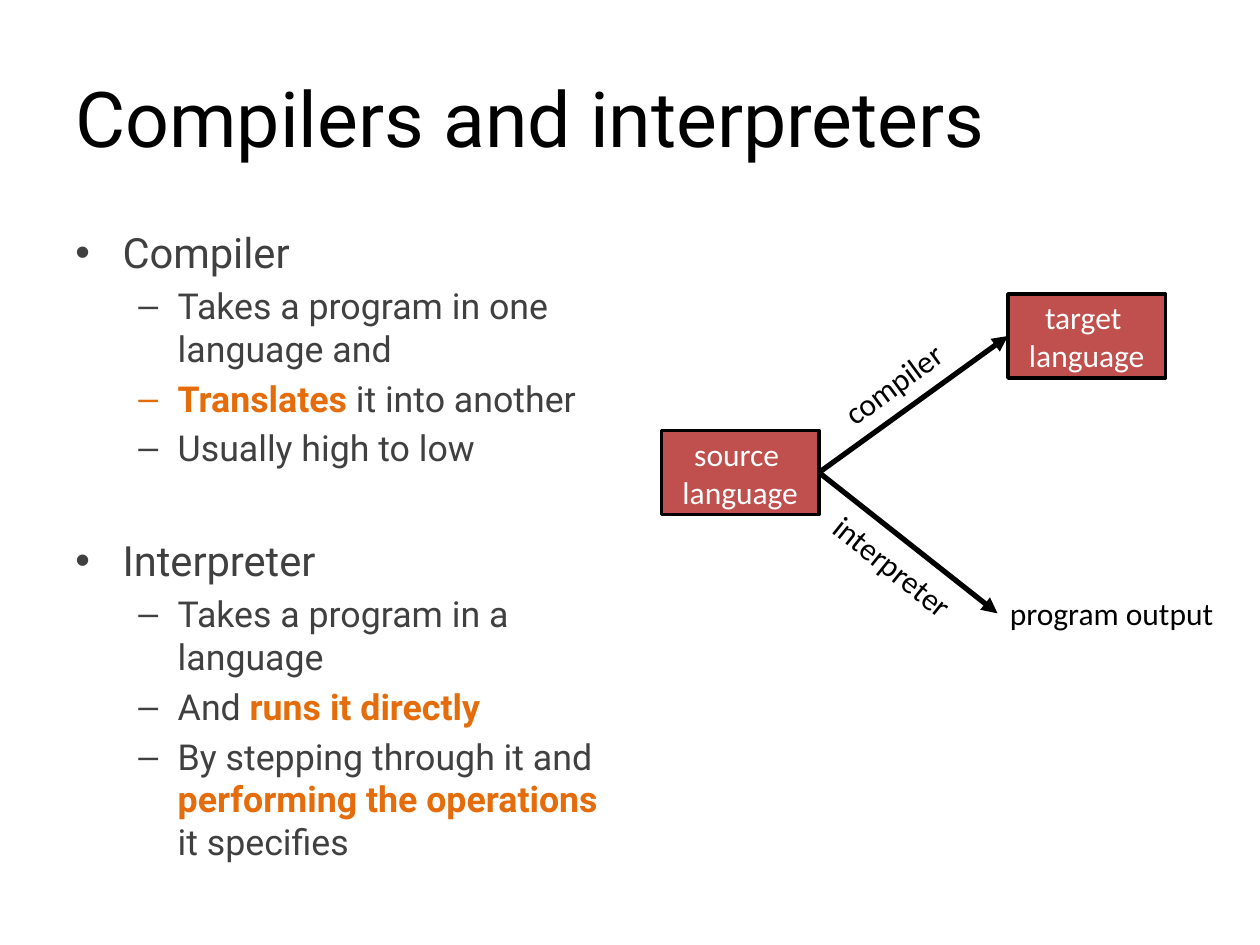
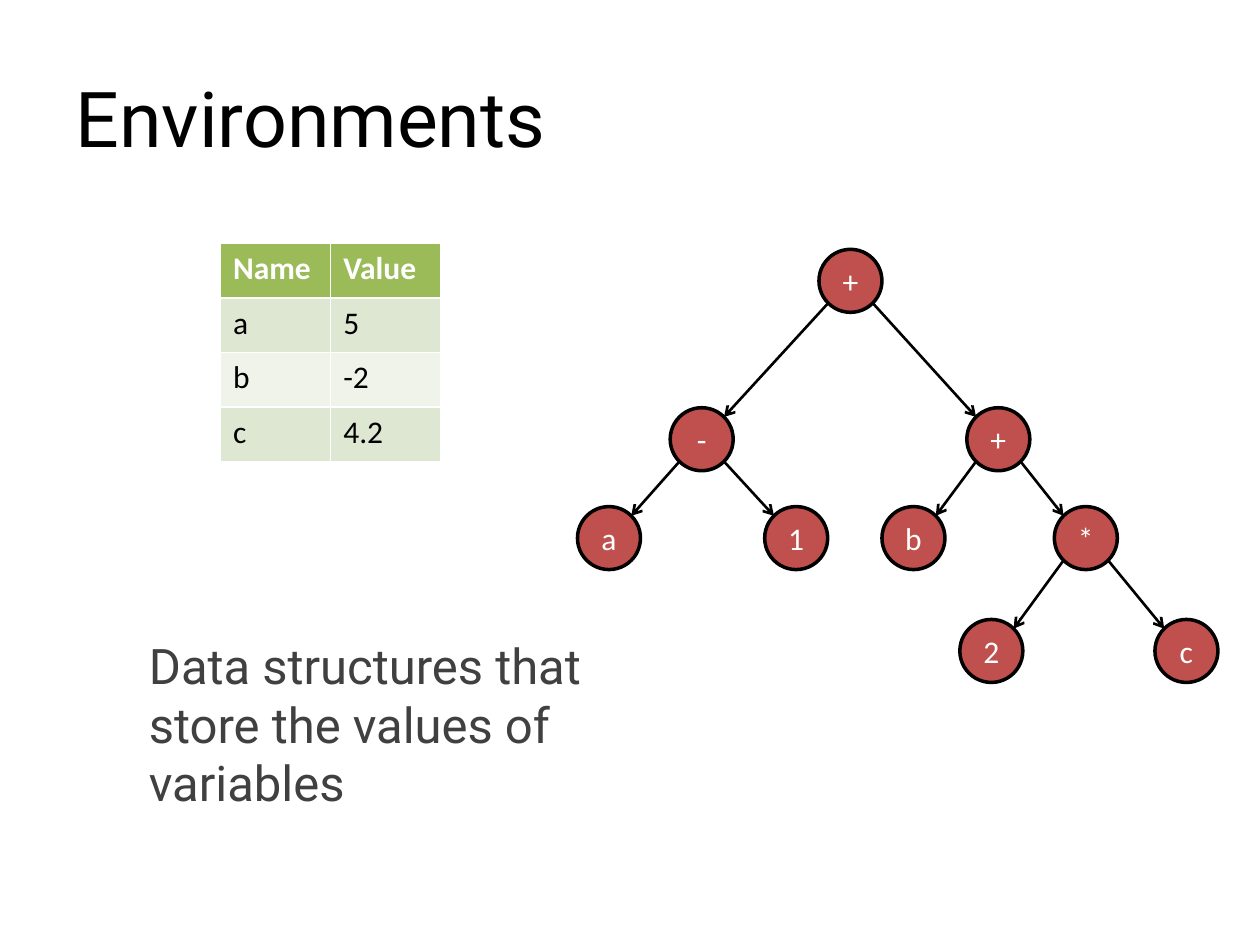
"""Builds two slides on compilers, interpreters and environments."""
import math

import lxml.etree
import pptx
import pptx.dml.color
import pptx.enum.shapes
import pptx.enum.text
import pptx.oxml.ns
import pptx.util

Pt = pptx.util.Pt
qn = pptx.oxml.ns.qn
SHAPES = pptx.enum.shapes.MSO_SHAPE
ALIGN = pptx.enum.text.PP_ALIGN
ANCHOR = pptx.enum.text.MSO_ANCHOR

COLORS = {
    "ink": "000000",
    "body": "404040",
    "accent": "E46C0A",
    "node": "C0504D",
    "light": "FFFFFF",
    "header": "9BBB59",
    "band": "DEE7D1",
    "pale": "EFF3EA",
}
HEADING_FONT, LABEL_FONT = "Roboto", "Calibri"
LABEL_SIZE = 18
BULLETS = [("•", 27, 27, 23.8), ("–", 58.5, 22.5, 20.4)]
NODE_SIZE = 36


def rgb(name):
    """Return the named colour."""
    return pptx.dml.color.RGBColor.from_string(COLORS[name])


class Deck:
    """Holds the shared style and the current slide."""

    def __init__(self):
        """Start an empty 10 by 7.5 inch presentation."""
        self.presentation = pptx.Presentation()
        self.presentation.slide_width = Pt(720)
        self.presentation.slide_height = Pt(540)
        self.slide = None

    def style(self, paragraph, size, font, color, bold=None):
        """Set the font of a whole paragraph."""
        paragraph.font.size = Pt(size)
        paragraph.font.name = font
        paragraph.font.bold = bold
        paragraph.font.color.rgb = rgb(color)

    def title(self, text):
        """Add a slide with a left-aligned title."""
        layout = self.presentation.slide_layouts[5]
        self.slide = self.presentation.slides.add_slide(layout)
        heading = self.slide.shapes.title
        heading.left, heading.top = Pt(36), Pt(21.6)
        heading.width, heading.height = Pt(648), Pt(90)
        heading.text_frame.text = text
        heading.text_frame.vertical_anchor = ANCHOR.MIDDLE
        paragraph = heading.text_frame.paragraphs[0]
        paragraph.alignment = ALIGN.LEFT
        self.style(paragraph, 44, HEADING_FONT, "ink")

    def text_box(self, left, top, width, height):
        """Add a wrapping text box and return its frame."""
        box = self.slide.shapes.add_textbox(Pt(left), Pt(top), Pt(width), Pt(height))
        box.text_frame.word_wrap = True
        return box.text_frame

    def statement(self, text, *bounds):
        """Add a plain sentence in body style."""
        frame = self.text_box(*bounds)
        frame.text = text
        self.style(frame.paragraphs[0], 28, HEADING_FONT, "body")

    def outline(self, sections, *bounds):
        """Add headed bullet lists; odd pieces of each point are emphasised."""
        frame = self.text_box(*bounds)
        paragraph = frame.paragraphs[0]
        for number, (heading, points) in enumerate(sections):
            if number:
                paragraph = frame.add_paragraph()
                paragraph.space_before = Pt(37.5)
            self.bullet(paragraph, 0, [heading])
            for pieces in points:
                paragraph = frame.add_paragraph()
                paragraph.space_before = Pt(4)
                self.bullet(paragraph, 1, pieces)

    def bullet(self, paragraph, level, pieces):
        """Fill one bulleted paragraph."""
        mark, margin, hanging, size = BULLETS[level]
        paragraph.level = level
        properties = paragraph._p.get_or_add_pPr()
        properties.set("marL", str(Pt(margin)))
        properties.set("indent", str(-Pt(hanging)))
        lxml.etree.SubElement(properties, qn("a:buFont")).set("typeface", "Arial")
        lxml.etree.SubElement(properties, qn("a:buChar")).set("char", mark)
        self.style(paragraph, size, HEADING_FONT, "body")
        for position, piece in enumerate(pieces):
            if piece:
                run = paragraph.add_run()
                run.text = piece
                if position % 2:
                    run.font.bold = True
                    run.font.color.rgb = rgb("accent")

    def label(self, text, left, top, width, angle=0):
        """Add a one-line label, turned by an angle."""
        box = self.slide.shapes.add_textbox(Pt(left), Pt(top), Pt(width), Pt(29))
        box.rotation = angle
        frame = box.text_frame
        frame.text = text
        frame.word_wrap = False
        frame.auto_size = pptx.enum.text.MSO_AUTO_SIZE.SHAPE_TO_FIT_TEXT
        self.style(frame.paragraphs[0], LABEL_SIZE, LABEL_FONT, "ink")

    def node(self, preset, text, left, top, width, height):
        """Add a filled shape with centred text."""
        shape = self.slide.shapes.add_shape(
            preset, Pt(left), Pt(top), Pt(width), Pt(height))
        shape.shadow.inherit = False
        shape.fill.solid()
        shape.fill.fore_color.rgb = rgb("node")
        shape.line.color.rgb = rgb("ink")
        shape.line.width = Pt(2)
        frame = shape.text_frame
        frame.text = text
        frame.vertical_anchor = ANCHOR.MIDDLE
        for paragraph in frame.paragraphs:
            paragraph.alignment = ALIGN.CENTER
            self.style(paragraph, LABEL_SIZE, LABEL_FONT, "light")
        return shape

    def arrow(self, start, end, width, head):
        """Add a straight arrow between two points."""
        line = self.slide.shapes.add_connector(
            pptx.enum.shapes.MSO_CONNECTOR.STRAIGHT, *map(Pt, start + end))
        line.line.color.rgb = rgb("ink")
        line.line.width = Pt(width)
        tail = lxml.etree.SubElement(line.line._get_or_add_ln(), qn("a:tailEnd"))
        tail.set("type", head)
        lxml.etree.SubElement(line._element.spPr, qn("a:effectLst"))
        return line

    def tree(self, branch, levels):
        """Draw a node and its subtrees, one level below another."""
        symbol, x, children = branch
        y = levels[0]
        radius = NODE_SIZE / 2
        reach = radius * math.sqrt(0.5)
        self.node(SHAPES.OVAL, symbol, x - radius, y - radius, NODE_SIZE, NODE_SIZE)
        for child in children:
            side = math.copysign(reach, child[1] - x)
            self.arrow((x + side, y + reach),
                       (child[1] - side, levels[1] - reach), 1.5, "arrow")
            self.tree(child, levels[1:])

    def table(self, rows, left, top, column_width, row_height):
        """Add a table with a header and banded rows."""
        columns = len(rows[0])
        grid = self.slide.shapes.add_table(
            len(rows), columns, Pt(left), Pt(top),
            Pt(column_width * columns), Pt(row_height * len(rows))).table
        for r, row in enumerate(rows):
            fill = "header" if r == 0 else "band" if r % 2 else "pale"
            for c, value in enumerate(row):
                cell = grid.cell(r, c)
                cell.text = value
                cell.fill.solid()
                cell.fill.fore_color.rgb = rgb(fill)
                self.style(cell.text_frame.paragraphs[0], LABEL_SIZE, LABEL_FONT,
                           "ink" if r else "light", r == 0)


def compilers(deck):
    """Build the slide that compares compilers and interpreters."""
    deck.title("Compilers and interpreters")
    deck.outline([
        ("Compiler", [
            ["Takes a program in one language and"],
            ["", "Translates ", "it into another"],
            ["Usually high to low"],
        ]),
        ("Interpreter", [
            ["Takes a program in a language"],
            ["And ", "runs it directly"],
            ["By stepping through it and ", "performing the operations ",
             "it specifies"],
        ]),
    ], 36, 126, 318, 356.5)
    source = deck.node(SHAPES.RECTANGLE, "source \nlanguage", 378, 246, 90, 48)
    target = deck.node(SHAPES.RECTANGLE, "target \nlanguage", 576, 168, 90, 48)
    deck.label("program output", 570, 336, 132.5)
    compiling = deck.arrow((468, 270), (576, 192), 3, "triangle")
    compiling.begin_connect(source, 3)
    compiling.end_connect(target, 1)
    interpreting = deck.arrow((468, 270), (570, 350.5), 3, "triangle")
    interpreting.begin_connect(source, 3)
    deck.label("compiler", 471, 204.5, 79, 323.5)
    deck.label("interpreter", 463, 309.5, 95, 38.9)


def environments(deck):
    """Build the slide on environments."""
    deck.title("Environments")
    deck.statement("Data structures that store the values of variables",
                   78, 359.5, 276, 123)
    product = ("*", 620.5, [("2", 566.5, []), ("c", 678, [])])
    total = ("+", 570.5, [("b", 522, []), product])
    difference = ("-", 401, [("a", 348, []), ("1", 455, [])])
    deck.tree(("+", 486, [difference, total]), [160.5, 251, 307.5, 372])
    deck.table([("Name", "Value"), ("a", "5"), ("b", "-2"), ("c", "4.2")],
               126, 139, 63, 31.2)


def main():
    """Build and save the presentation."""
    deck = Deck()
    compilers(deck)
    environments(deck)
    deck.presentation.save("out.pptx")


if __name__ == "__main__":
    main()
